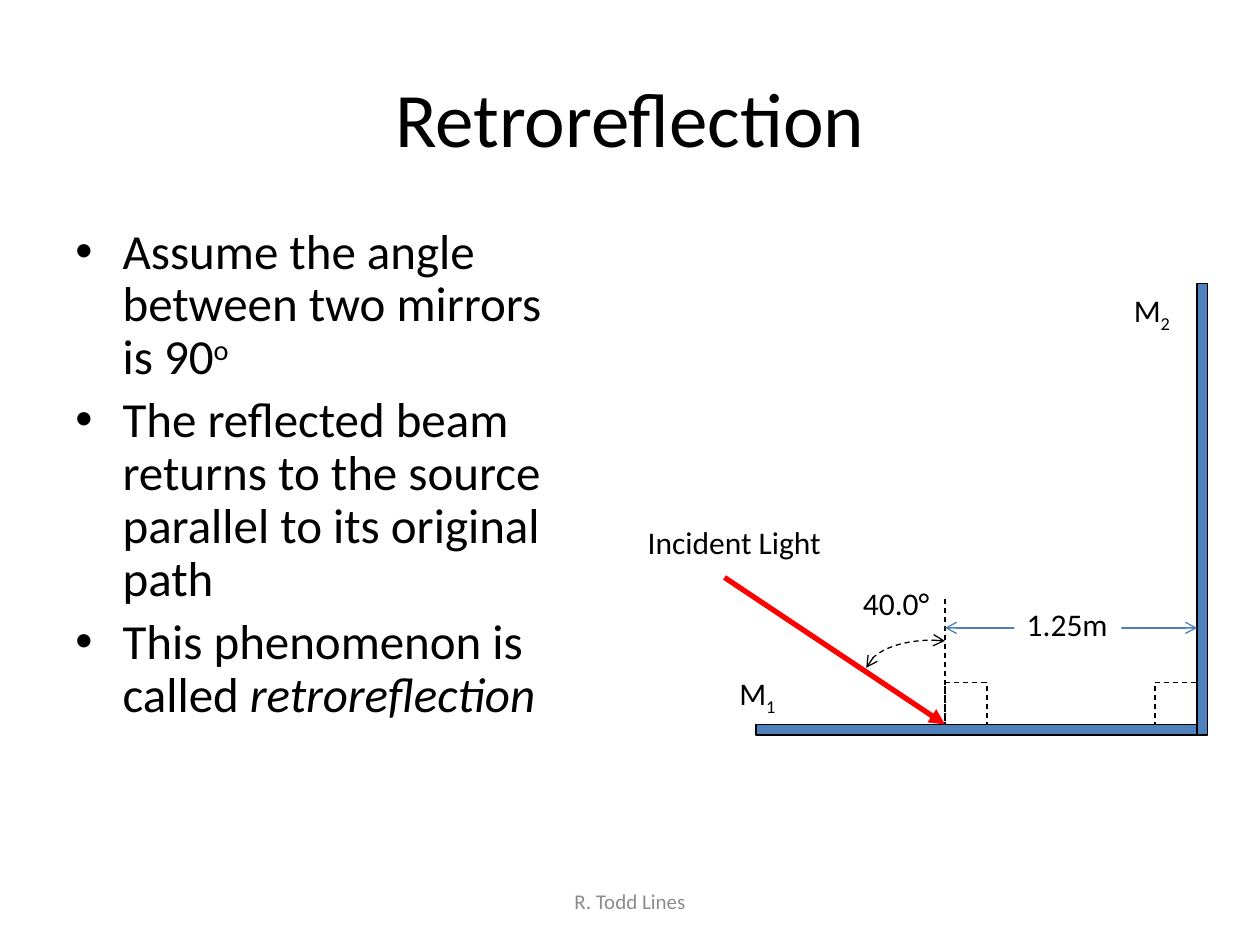
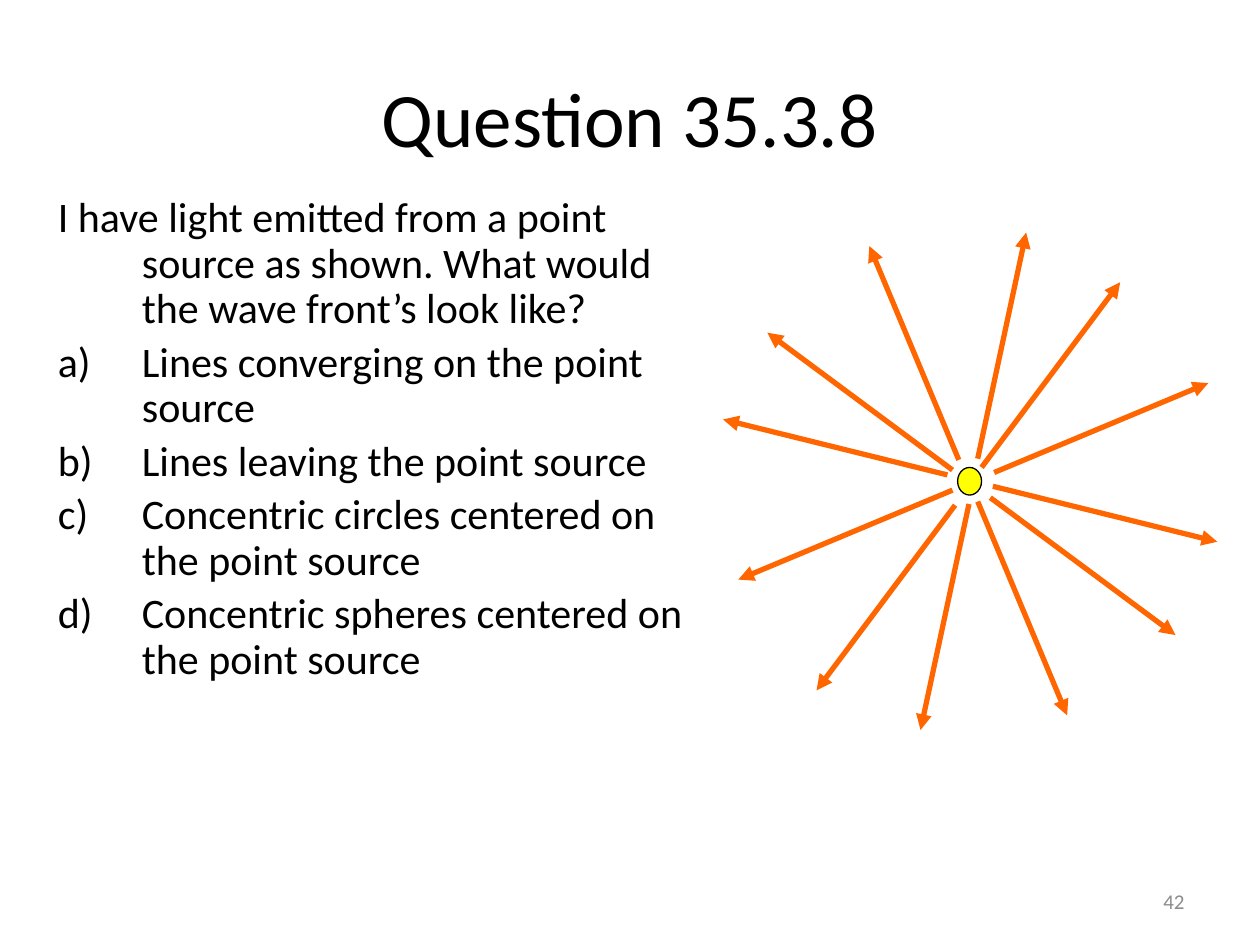
import lxml.etree
import pptx
import pptx.dml.color
import pptx.enum.dml
import pptx.enum.shapes
import pptx.enum.text
import pptx.oxml.ns
import pptx.util

Pt = pptx.util.Pt
RGB = pptx.dml.color.RGBColor
Shape = pptx.enum.shapes.MSO_SHAPE
Align = pptx.enum.text.PP_ALIGN
Anchor = pptx.enum.text.MSO_ANCHOR

BLACK = RGB(0x00, 0x00, 0x00)
WHITE = RGB(0xFF, 0xFF, 0xFF)
GREY = RGB(0x8C, 0x8C, 0x8C)
BLUE = RGB(0x4F, 0x81, 0xBD)
STEEL = RGB(0x4B, 0x7E, 0xBC)
RED = RGB(0xFF, 0x00, 0x00)
ORANGE = RGB(0xFF, 0x66, 0x00)
YELLOW = RGB(0xFF, 0xFF, 0x00)

DOT = (("buFont", {"typeface": "Arial"}), ("buChar", {"char": "•"}))
LETTER = (("buAutoNum", {"type": "alphaLcParenR"}),)
PLAIN = (("buNone", {}),)


def add_tag(parent, name, **attrs):
    return lxml.etree.SubElement(parent, pptx.oxml.ns.qn("a:" + name), **attrs)


def bezier(start, pull1, pull2, end, steps=12):
    """Return points along a cubic curve, start included."""
    points = []
    for step in range(steps + 1):
        t = step / steps
        parts = ((1 - t) ** 3, 3 * t * (1 - t) ** 2, 3 * t * t * (1 - t), t ** 3)
        knots = (start, pull1, pull2, end)
        points.append(tuple(sum(w * k[axis] for w, k in zip(parts, knots))
                            for axis in (0, 1)))
    return points


class Deck:
    """Holds the shared style and the slide being drawn."""
    font = "Calibri"

    def __init__(self):
        self.show = pptx.Presentation()
        self.show.slide_width = Pt(720)
        self.show.slide_height = Pt(540)
        self.slide = None

    def start(self, title):
        self.slide = self.show.slides.add_slide(self.show.slide_layouts[6])
        self.text((36, 21.6, 648, 90), [title], 44, align=Align.CENTER,
                  anchor=Anchor.MIDDLE)

    def add_runs(self, para, runs, size, color):
        """Add runs; each is a string or a (string, style) pair."""
        for item in runs:
            words, style = (item, {}) if isinstance(item, str) else item
            run = para.add_run()
            run.text = words
            run.font.name = self.font
            run.font.size = Pt(size)
            run.font.color.rgb = color
            if style.get("italic"):
                run.font.italic = True
            if "base" in style:
                run._r.get_or_add_rPr().set("baseline", str(style["base"] * 1000))

    def frame(self, place, wrap=True, anchor=Anchor.TOP, fill=None):
        box = self.slide.shapes.add_textbox(*map(Pt, place))
        if fill is not None:
            box.fill.solid()
            box.fill.fore_color.rgb = fill
        box.text_frame.word_wrap = wrap
        box.text_frame.vertical_anchor = anchor
        return box.text_frame

    def text(self, place, runs, size, color=BLACK, align=Align.LEFT,
             anchor=Anchor.TOP, wrap=True, fill=None):
        para = self.frame(place, wrap, anchor, fill).paragraphs[0]
        para.alignment = align
        self.add_runs(para, runs, size, color)

    def label(self, left, top, width, *runs, fill=None):
        self.text((left, top, width, 29), runs, 18, wrap=False, fill=fill)

    def footer(self, left, width, words, align):
        self.text((left, 500.5, width, 28.75), [words], 12, GREY, align,
                  Anchor.MIDDLE)

    def body(self, place, items, size, indent):
        """Add a list of (bullet, runs) items with a hanging indent."""
        frame = self.frame(place)
        for index, (bullet, runs) in enumerate(items):
            para = frame.add_paragraph() if index else frame.paragraphs[0]
            props = para._p.get_or_add_pPr()
            props.set("marL", str(Pt(indent)))
            props.set("indent", str(-Pt(indent)))
            for name, attrs in bullet:
                add_tag(props, name, **attrs)
            para.line_spacing = 0.9
            if index:
                para.space_before = Pt(size * 0.2)
            self.add_runs(para, runs, size, BLACK)

    def stroke(self, item, color, width, dash=False, head=None, tail=None):
        item.line.color.rgb = color
        item.line.width = Pt(width)
        if dash:
            item.line.dash_style = pptx.enum.dml.MSO_LINE.DASH
        for name, kind in (("headEnd", head), ("tailEnd", tail)):
            if kind:
                add_tag(item.line._get_or_add_ln(), name, type=kind)

    def shape(self, kind, place, fill=None, dash=False):
        item = self.slide.shapes.add_shape(kind, *map(Pt, place))
        item.shadow.inherit = False
        if fill is None:
            item.fill.background()
        else:
            item.fill.solid()
            item.fill.fore_color.rgb = fill
        self.stroke(item, BLACK, 0.75, dash)

    def line(self, start, end, color, width, **style):
        item = self.slide.shapes.add_connector(
            pptx.enum.shapes.MSO_CONNECTOR.STRAIGHT, *map(Pt, start + end))
        self.stroke(item, color, width, **style)
        add_tag(item._element.spPr, "effectLst")

    def curve(self, points, **style):
        spots = [(Pt(x), Pt(y)) for x, y in points]
        pen = self.slide.shapes.build_freeform(*spots[0])
        pen.add_line_segments(spots[1:], close=False)
        item = pen.convert_to_shape()
        item.shadow.inherit = False
        item.fill.background()
        self.stroke(item, BLACK, 0.75, **style)


def draw_mirrors(deck):
    deck.start("Retroreflection")
    deck.footer(246, 228, "R. Todd Lines", Align.CENTER)
    deck.body((36, 126, 294, 356.4), [
        (DOT, ["Assume the angle between two mirrors is 90", ("o", {"base": 30})]),
        (DOT, ["The reflected beam returns to the source parallel to its "
               "original path"]),
        (DOT, ["This phenomenon is called ",
               ("retroreflection", {"italic": True})]),
    ], 28, 27)

    hit, floor, wall, side = 540, 414, 684, 24
    for left in (wall - side, hit):
        deck.shape(Shape.RECTANGLE, (left, floor - side, side, side), dash=True)
    deck.shape(Shape.RECTANGLE, (wall, 162, 6, 258), BLUE)
    deck.shape(Shape.RECTANGLE, (432, floor, 252, 6), BLUE)
    deck.line((414, 330), (hit, floor), RED, 3, tail="triangle")
    deck.line((hit, 342), (hit, floor), BLACK, 0.75, dash=True)
    arc = bezier((495, 381.6), (498.2, 372.2), (514, 365.8), (532.8, 365.8))
    deck.curve(arc + [(hit, 366.2)], dash=True, head="arrow", tail="arrow")
    deck.line((hit, 358.8), (wall, 358.8), STEEL, 0.75,
              head="arrow", tail="arrow")

    deck.label(486, 330, 54, "40.0°")
    deck.label(640.8, 162.7, 36, "M", ("2", {"base": -25}))
    deck.label(415.4, 381.6, 36, "M", ("1", {"base": -25}))
    deck.label(363, 295.2, 114.5, "Incident Light")
    deck.label(579.6, 342, 61.2, "1.25m", fill=WHITE)


def draw_source(deck):
    deck.start("Question 35.3.8")
    deck.body((26, 108.7, 374.4, 393.8), [
        (PLAIN, ["I have light emitted from a point source as shown. "
                 "What would the wave front’s look like?"]),
        (LETTER, ["Lines converging on the point source"]),
        (LETTER, ["Lines leaving the point source"]),
        (LETTER, ["Concentric circles centered on the point source"]),
        (LETTER, ["Concentric spheres centered on the point source"]),
    ], 24, 48)
    deck.footer(516, 168, "42", Align.RIGHT)
    deck.shape(Shape.OVAL, (547.2, 267.1, 13.7, 15.8), YELLOW)

    # Two opposite rays share one run: first start, second start, run of the first
    pairs = [
        ((545.8, 288.7), (560.9, 267.1), (-79.2, 105.8)),
        ((544.3, 280.1), (568.1, 270), (-122.4, 51.1)),
        ((541.4, 271.4), (567.4, 277.9), (-128.2, -31.7)),
        ((544.3, 268.6), (565.9, 284.4), (-105.8, -78.5)),
        ((558.7, 262.1), (553.7, 288), (27.7, -129.2)),
        ((547.9, 262.8), (558.7, 286.6), (-51.1, -122.2)),
    ]
    for first, second, (run, rise) in pairs:
        for (x, y), sign in ((first, 1), (second, -1)):
            deck.line((x, y), (x + sign * run, y + sign * rise), ORANGE, 3,
                      tail="triangle")


def main():
    deck = Deck()
    draw_mirrors(deck)
    draw_source(deck)
    deck.show.save("out.pptx")


if __name__ == "__main__":
    main()
